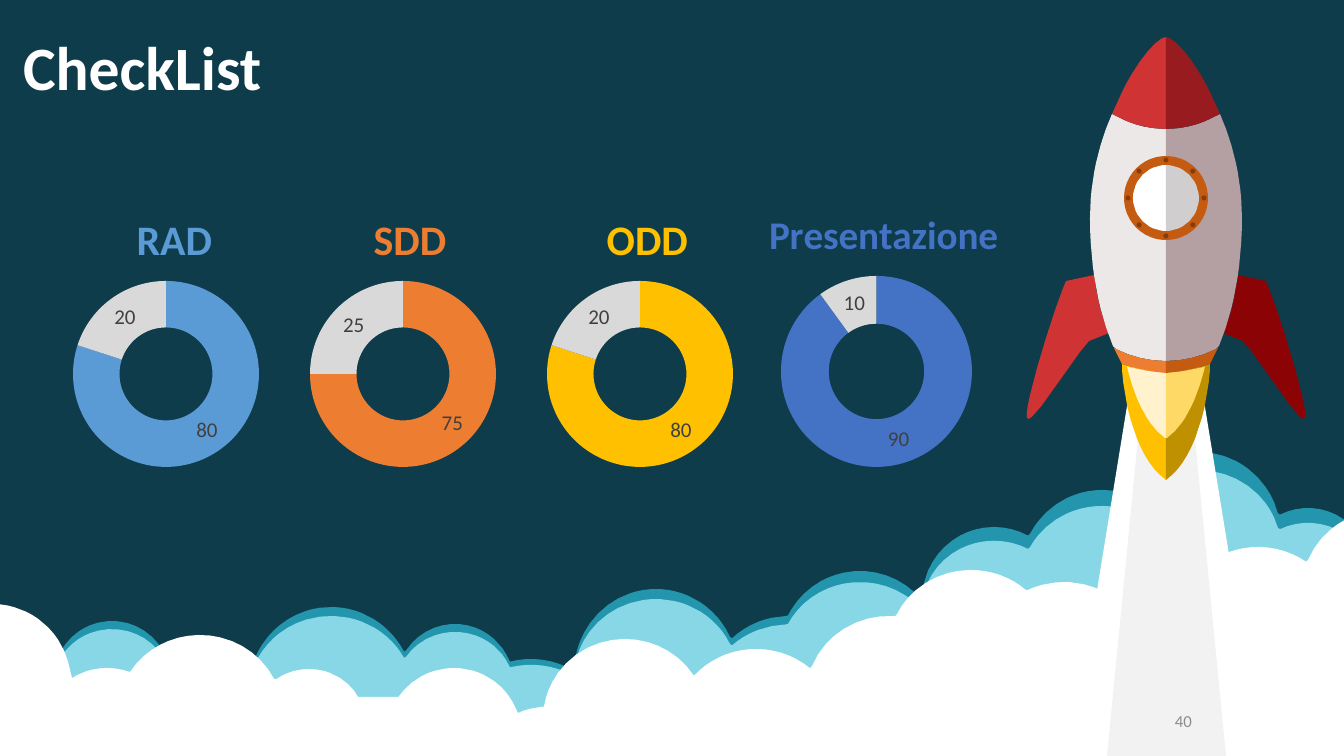
"""Build the CheckList slide: four progress rings beside a rocket rising from clouds."""
from math import cos, hypot, pi, sin, sqrt

from pptx import Presentation
from pptx.chart.data import CategoryChartData
from pptx.dml.color import RGBColor
from pptx.enum.chart import XL_CHART_TYPE
from pptx.enum.shapes import MSO_SHAPE
from pptx.enum.text import MSO_ANCHOR, MSO_AUTO_SIZE, PP_ALIGN
from pptx.oxml import parse_xml
from pptx.oxml.ns import nsdecls
from pptx.util import Pt

NIGHT = RGBColor(0x0E, 0x3C, 0x4B)
TEAL = RGBColor(0x23, 0x96, 0xAD)
AQUA = RGBColor(0x87, 0xD7, 0xE7)
WHITE = RGBColor(0xFF, 0xFF, 0xFF)
SMOKE = RGBColor(0xF2, 0xF2, 0xF2)
RED = RGBColor(0xD0, 0x33, 0x34)
DARK_RED = RGBColor(0x8B, 0x03, 0x05)
WINE = RGBColor(0x98, 0x1B, 0x1F)
PEARL = RGBColor(0xEC, 0xE8, 0xE7)
MAUVE = RGBColor(0xB4, 0xA0, 0xA2)
ORANGE = RGBColor(0xED, 0x7D, 0x31)
RUST = RGBColor(0xC5, 0x5A, 0x11)
BROWN = RGBColor(0x84, 0x3C, 0x0B)
GOLD = RGBColor(0xFF, 0xC0, 0x00)
DARK_GOLD = RGBColor(0xBF, 0x90, 0x00)
CREAM = RGBColor(0xFF, 0xF2, 0xCC)
HONEY = RGBColor(0xFF, 0xD9, 0x66)
SILVER = RGBColor(0xD0, 0xCE, 0xCE)
BLUE = RGBColor(0x5B, 0x9B, 0xD5)
INDIGO = RGBColor(0x44, 0x72, 0xC4)
GREY = RGBColor(0xD9, 0xD9, 0xD9)
LABEL = RGBColor(0x40, 0x40, 0x40)
NUMBER = RGBColor(0x8C, 0x8C, 0x8C)
BLACK = RGBColor(0, 0, 0)
WIDTH, HEIGHT = 1344, 756
SCALE = 914400 / 100.8
FONT = "Calibri"
TITLE, PAGE_NUMBER = "CheckList", "40"
# name, done, colour, title size, title (left, top), ring (left, top, size)
RINGS = [
    ("RAD", 80, BLUE, 30, (129, 203), (73, 281, 186)),
    ("SDD", 75, ORANGE, 30, (366, 203), (310, 281, 186)),
    ("ODD", 80, GOLD, 30, (599, 203), (547, 281, 186)),
    ("Presentazione", 90, INDIGO, 28, (762, 201), (781, 276, 191)),
]
RING_LEFT, RING_TOP, RING_STEP, RING_WIDTH, RING_HEIGHT = 13, 179, 237, 305, 301
# centre x, top, horizontal radius, vertical radius
BACK_PUFFS = [
    (112, 621, 59, 60), (331, 607, 83, 85), (455, 624, 59, 60), (531, 659, 84, 84),
    (656, 589, 82, 84), (789, 616, 84, 84), (860, 571, 81, 82), (994, 527, 72, 73),
    (1102, 490, 82, 84), (1199, 452, 82, 84), (1308, 508, 63, 64),
]
FRONT_PUFFS = [
    (-8, 604, 79, 79), (107, 668, 66, 66), (200, 635, 83, 80), (309, 669, 57, 56),
    (454, 668, 67, 66), (545, 707, 62, 60), (625, 639, 82, 80), (756, 649, 83, 80),
    (889, 616, 83, 80), (971, 570, 83, 80), (1064, 582, 83, 80), (1258, 547, 83, 80),
    (1385, 510, 83, 80),
]
SQUEEZE, TOLERANCE = 0.94, 0.3
# left colour, right colour, right outline: pairs are lines, sixes are curves
AXIS = 1166
HALVES = [
    (RED, DARK_RED, [(72, 275), (70, 288), (68, 299, 66, 310, 62, 320), (57, 333), (77, 341),
                     (91, 355, 135, 428, 139, 418), (143, 408, 111, 305, 100, 281)]),
    (PEARL, MAUVE, [(54, 114), (67, 143, 76, 180, 76, 218), (76, 268, 67, 313, 53, 346),
                    (50, 349), (34, 357, 17, 361, 0, 361), (0, 129),
                    (15, 129, 29, 126, 42, 120)]),
    (GOLD, DARK_GOLD, [(44, 363), (44, 370), (40, 421, 23, 464, 1, 479), (0, 480), (0, 373),
                       (13, 372, 29, 369, 44, 364)]),
    (CREAM, HONEY, [(39, 366), (38, 371), (30, 402, 17, 427, 1, 438), (0, 438), (0, 373),
                    (13, 372, 26, 370, 38, 367)]),
    (RED, WINE, [(0, 37), (7, 37, 26, 56, 43, 90), (54, 114), (42, 120),
                 (29, 126, 15, 129, 0, 129)]),
    (ORANGE, RUST, [(52, 348), (44, 364), (29, 369, 15, 372, 0, 373), (0, 361),
                    (17, 361, 35, 357, 50, 349)]),
]
GLASS = (WHITE, SILVER, [(0, 165), (18, 165, 33, 180, 33, 198), (33, 216, 18, 231, 0, 231)])
PORTHOLE_Y, PORTHOLE_SIZE, RIVET_ORBIT, RIVET_SIZE = 198, 84, 38, 5


def emu(*lengths):
    return [round(length * SCALE) for length in lengths]


def style(target, values):
    for name, value in values.items():
        setattr(target, name, value)


def set_font(font, size, colour, bold=False):
    style(font, {"name": FONT, "size": Pt(size), "bold": bold})
    font.color.rgb = colour


def paint(shape, colour):
    shape.shadow.inherit = False
    shape.fill.solid()
    shape.fill.fore_color.rgb = colour
    shape.line.fill.background()
    return shape


def add_preset(page, kind, box, colour):
    return paint(page.shapes.add_shape(kind, *emu(*box)), colour)


def simplify(points):
    (x1, y1), (x2, y2) = points[0], points[-1]
    length = hypot(x2 - x1, y2 - y1)
    gaps = [abs((x2 - x1) * (y - y1) - (y2 - y1) * (x - x1)) / length for x, y in points]
    far = gaps.index(max(gaps))
    if gaps[far] < TOLERANCE:
        return [points[0], points[-1]]
    return simplify(points[:far + 1])[:-1] + simplify(points[far:])


def add_outline(page, points, colour):
    first, *rest = [emu(*point) for point in simplify(points)]
    builder = page.shapes.build_freeform(*first, scale=1.0)
    builder.add_line_segments(rest, close=True)
    paint(builder.convert_to_shape(), colour)


def flatten(outline, steps=12):
    points = []
    for part in outline:
        if len(part) == 2:
            points.append(part)
            continue
        corners = [points[-1], part[:2], part[2:4], part[4:]]
        for step in range(1, steps + 1):
            t = step / steps
            weights = ((1 - t) ** 3, 3 * t * (1 - t) ** 2, 3 * t * t * (1 - t), t ** 3)
            points.append(tuple(sum(w * corner[axis] for w, corner in zip(weights, corners))
                                for axis in (0, 1)))
    return points


def add_halves(page, left_colour, right_colour, outline):
    for side, colour in ((-1, left_colour), (1, right_colour)):
        add_outline(page, [(AXIS + side * x, y) for x, y in flatten(outline)], colour)


def add_cloud(page, puffs, colour, squeeze=1):
    skyline = []
    for x in range(0, WIDTH + 1, 2):
        tops = [top + ry - ry * sqrt(1 - ((x - centre) / rx) ** 2)
                for centre, top, rx, ry in puffs if abs(x - centre) <= rx]
        skyline.append((x, HEIGHT - (HEIGHT - min(tops, default=HEIGHT)) * squeeze))
    add_outline(page, [(0, HEIGHT), *skyline, (WIDTH, HEIGHT)], colour)


def add_plume(page, box, colour):
    add_preset(page, MSO_SHAPE.TRAPEZOID, box, colour).adjustments[0] = 0.32


def place(parent, index, **fractions):
    for old in parent.xpath("c:layout"):
        parent.remove(old)
    modes = "".join(f'<c:{key}Mode val="edge"/>' for key in "xy")
    values = "".join(f'<c:{key} val="{value:.4f}"/>' for key, value in fractions.items())
    target = '<c:layoutTarget val="inner"/>' if "w" in fractions else ""
    parent.insert(index, parse_xml(f'<c:layout {nsdecls("c")}><c:manualLayout>{target}'
                                   f'{modes}{values}</c:manualLayout></c:layout>'))


def add_ring(page, index, name, done, colour, size, title_at, ring_at):
    left = RING_LEFT + index * RING_STEP
    data = CategoryChartData()
    data.categories = ["1", "2"]
    data.add_series("Series 1", (done, 100 - done))
    chart = page.shapes.add_chart(XL_CHART_TYPE.DOUGHNUT,
                                  *emu(left, RING_TOP, RING_WIDTH, RING_HEIGHT), data).chart
    style(chart, {"has_legend": False, "has_title": True})
    set_font(chart.font, 10, BLACK)
    heading = chart.chart_title.text_frame
    heading.text = name
    set_font(heading.paragraphs[0].runs[0].font, size, colour, True)
    spots = [{"x": (x - left) / RING_WIDTH, "y": (y - RING_TOP) / RING_HEIGHT}
             for x, y in (title_at, ring_at[:2])]
    place(chart.chart_title.element, 1, **spots[0])
    place(chart.element.xpath(".//c:plotArea")[0], 0, **spots[1],
          w=ring_at[2] / RING_WIDTH, h=ring_at[2] / RING_HEIGHT)
    chart.element.xpath(".//c:holeSize")[0].set("val", "75")
    series = chart.plots[0].series[0]
    for number, fill in enumerate((colour, GREY)):
        part = series.points[number].format
        part.fill.solid()
        part.fill.fore_color.rgb = fill
        part.line.fill.background()
    style(series.data_labels, {"show_value": True, "show_percentage": False})
    set_font(series.data_labels.font, 15, LABEL)


def write(box, place_at, text, size, colour, bold, **paragraph_format):
    style(box, dict(zip(("left", "top", "width", "height"), emu(*place_at))))
    style(box.text_frame, {"text": text, "word_wrap": True, "auto_size": MSO_AUTO_SIZE.NONE,
                           "vertical_anchor": MSO_ANCHOR.MIDDLE})
    para = box.text_frame.paragraphs[0]
    style(para, paragraph_format)
    set_font(para.runs[0].font, size, colour, bold)


def main():
    deck = Presentation()
    deck.slide_width, deck.slide_height = emu(WIDTH, HEIGHT)
    page = deck.slides.add_slide(deck.slide_layouts[5])
    page.background.fill.solid()
    page.background.fill.fore_color.rgb = NIGHT
    add_cloud(page, BACK_PUFFS, TEAL)
    add_cloud(page, BACK_PUFFS, AQUA, SQUEEZE)
    add_plume(page, (1076, 366, 180, 354), WHITE)
    add_cloud(page, FRONT_PUFFS, WHITE)
    add_preset(page, MSO_SHAPE.RECTANGLE, (340, 697, 80, 59), WHITE)
    add_plume(page, (1107, 366, 119, 390), SMOKE)
    for half in HALVES:
        add_halves(page, *half)
    discs = [(0, 0, PORTHOLE_SIZE, RUST)]
    discs += [(RIVET_ORBIT * cos(turn * pi / 4), RIVET_ORBIT * sin(turn * pi / 4),
               RIVET_SIZE, BROWN) for turn in range(8)]
    for x, y, size, colour in discs:
        box = (AXIS + x - size / 2, PORTHOLE_Y + y - size / 2, size, size)
        add_preset(page, MSO_SHAPE.OVAL, box, colour)
    add_halves(page, *GLASS)
    write(page.shapes.title, (13, -2, 1159, 146), TITLE, 44, WHITE, True,
          alignment=PP_ALIGN.LEFT, line_spacing=0.9)
    write(page.shapes.add_textbox(0, 0, 0, 0), (950, 701, 252, 40), PAGE_NUMBER, 12, NUMBER,
          False, alignment=PP_ALIGN.RIGHT)
    for index, ring in enumerate(RINGS):
        add_ring(page, index, *ring)
    deck.save("out.pptx")


if __name__ == "__main__":
    main()
